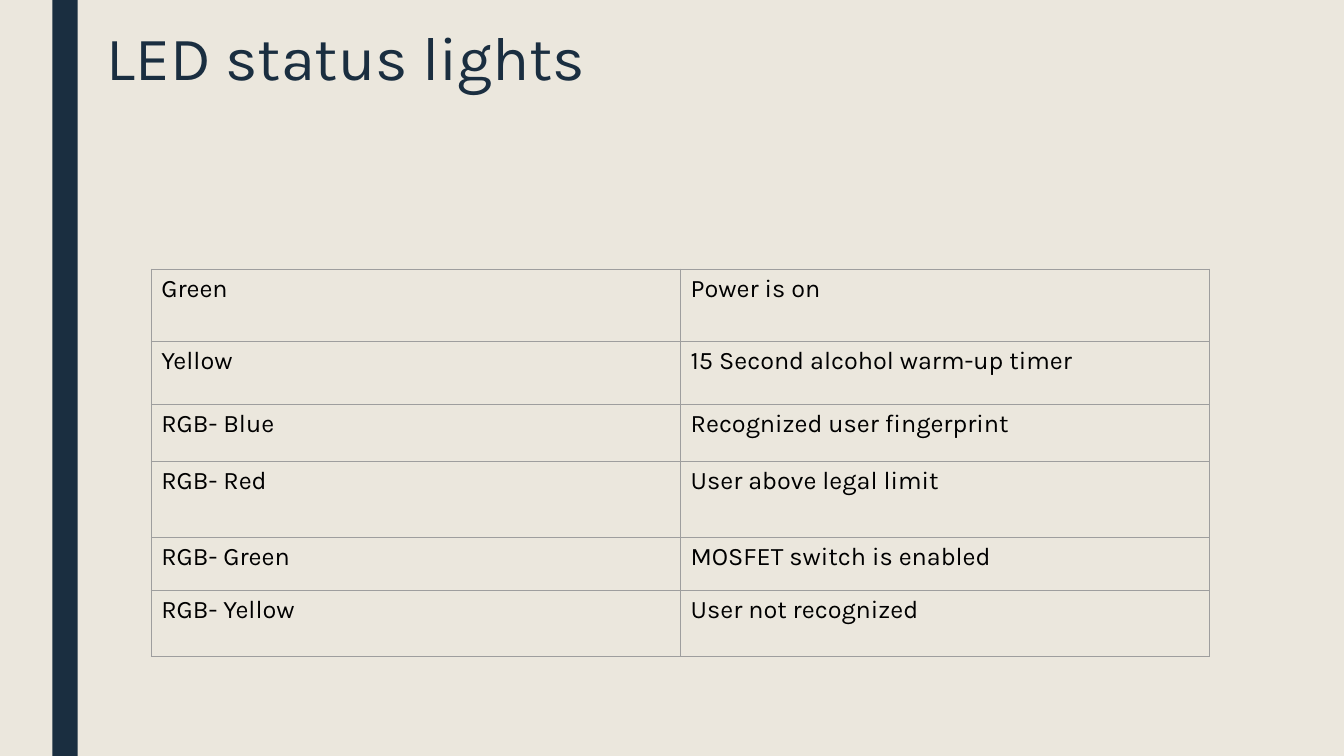
"""Build the LED status lights slide with its two-column table."""
from lxml.etree import SubElement
from pptx import Presentation
from pptx.dml.color import RGBColor
from pptx.enum.shapes import MSO_SHAPE
from pptx.enum.text import MSO_ANCHOR, MSO_AUTO_SIZE, PP_ALIGN
from pptx.oxml.ns import qn
from pptx.util import Inches, Pt

TITLE = "LED status lights"
LIGHTS = [
    ("Green", "Power is on", 0.72),
    ("Yellow", "15 Second alcohol warm-up timer", 0.62),
    ("RGB- Blue", "Recognized user fingerprint", 0.57),
    ("RGB- Red", "User above legal limit", 0.75),
    ("RGB- Green", "MOSFET switch is enabled", 0.53),
    ("RGB- Yellow", "User not recognized", 0.65),
]
COLORS = {"background": "EBE7DD", "navy": "1A2E40", "text": "000000", "border": "9E9E9E"}
FONT = "Karla"
TABLE_LEFT, TABLE_TOP, TABLE_WIDTH = 1.5, 2.67, 10.5


def color(name):
    return RGBColor.from_string(COLORS[name])


def add_text(paragraph, text, size, color_name):
    run = paragraph.add_run()
    run.text = text
    run.font.name = FONT
    run.font.size = Pt(size)
    run.font.bold = False
    run.font.color.rgb = color(color_name)


def add_borders(cell):
    properties = cell._tc.get_or_add_tcPr()
    for position, side in enumerate(("lnL", "lnR", "lnT", "lnB")):
        line = SubElement(properties, qn(f"a:{side}"), w=str(Pt(0.75)))
        fill = SubElement(line, qn("a:solidFill"))
        SubElement(fill, qn("a:srgbClr"), val=COLORS["border"])
        properties.insert(position, line)


def add_title(slide):
    title = slide.shapes.title
    title.left, title.top = Inches(0.96), Inches(0.23)
    title.width, title.height = Inches(10.5), Inches(1.62)
    frame = title.text_frame
    frame.word_wrap = True
    frame.auto_size = MSO_AUTO_SIZE.NONE
    frame.vertical_anchor = MSO_ANCHOR.TOP
    paragraph = frame.paragraphs[0]
    paragraph.alignment = PP_ALIGN.LEFT
    paragraph.line_spacing = 0.89
    add_text(paragraph, TITLE, 44, "navy")


def add_side_bar(slide):
    bar = slide.shapes.add_shape(
        MSO_SHAPE.RECTANGLE, Inches(0.52), 0, Inches(0.25), Inches(7.5))
    bar.shadow.inherit = False
    bar.fill.solid()
    bar.fill.fore_color.rgb = color("navy")
    bar.line.fill.background()


def add_lights_table(slide):
    height = sum(row_height for *_, row_height in LIGHTS)
    table = slide.shapes.add_table(
        len(LIGHTS), 2, Inches(TABLE_LEFT), Inches(TABLE_TOP),
        Inches(TABLE_WIDTH), Inches(height)).table
    table.first_row = False
    table.horz_banding = False
    for row, (*texts, row_height) in zip(table.rows, LIGHTS):
        row.height = Inches(row_height)
        for cell, text in zip(row.cells, texts):
            cell.fill.background()
            add_borders(cell)
            add_text(cell.text_frame.paragraphs[0], text, 18, "text")


def main():
    presentation = Presentation()
    presentation.slide_width = Inches(13.33)
    presentation.slide_height = Inches(7.5)
    slide = presentation.slides.add_slide(presentation.slide_layouts[5])
    slide.background.fill.solid()
    slide.background.fill.fore_color.rgb = color("background")
    add_side_bar(slide)
    add_title(slide)
    add_lights_table(slide)
    presentation.save("out.pptx")


if __name__ == "__main__":
    main()
